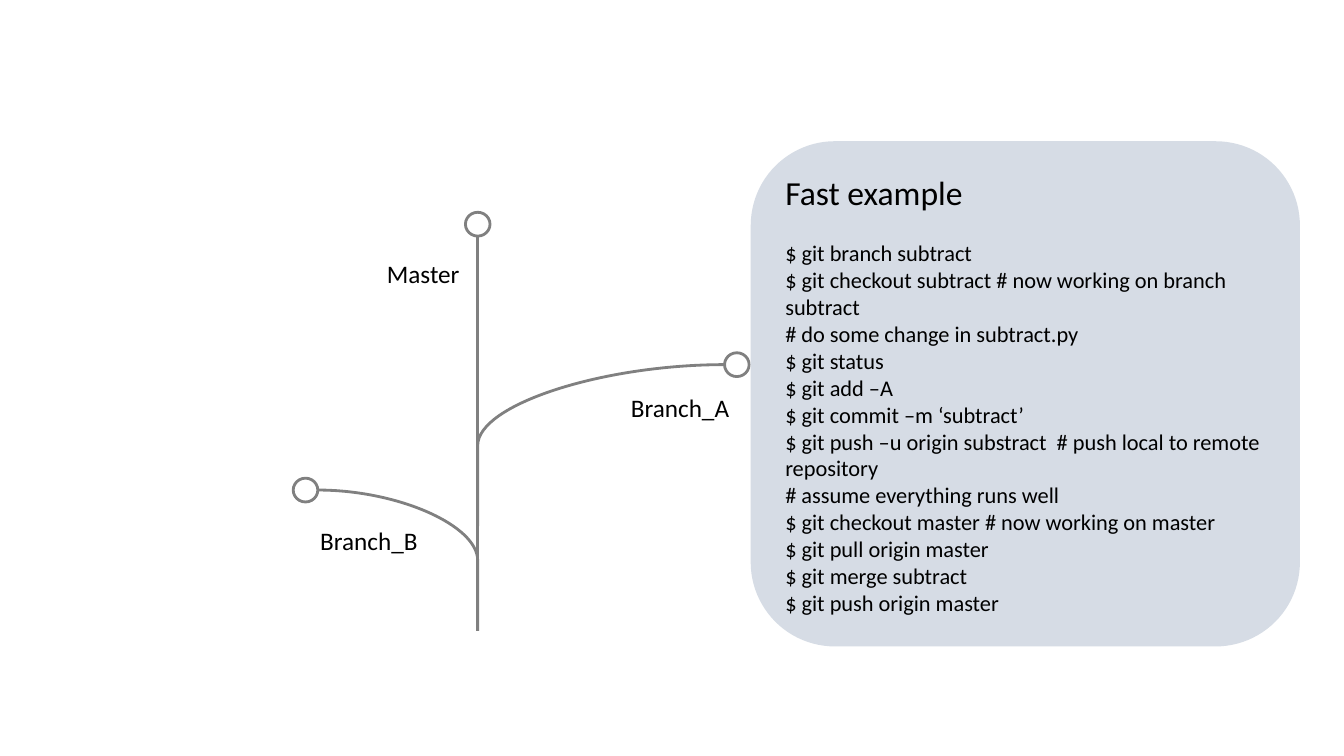
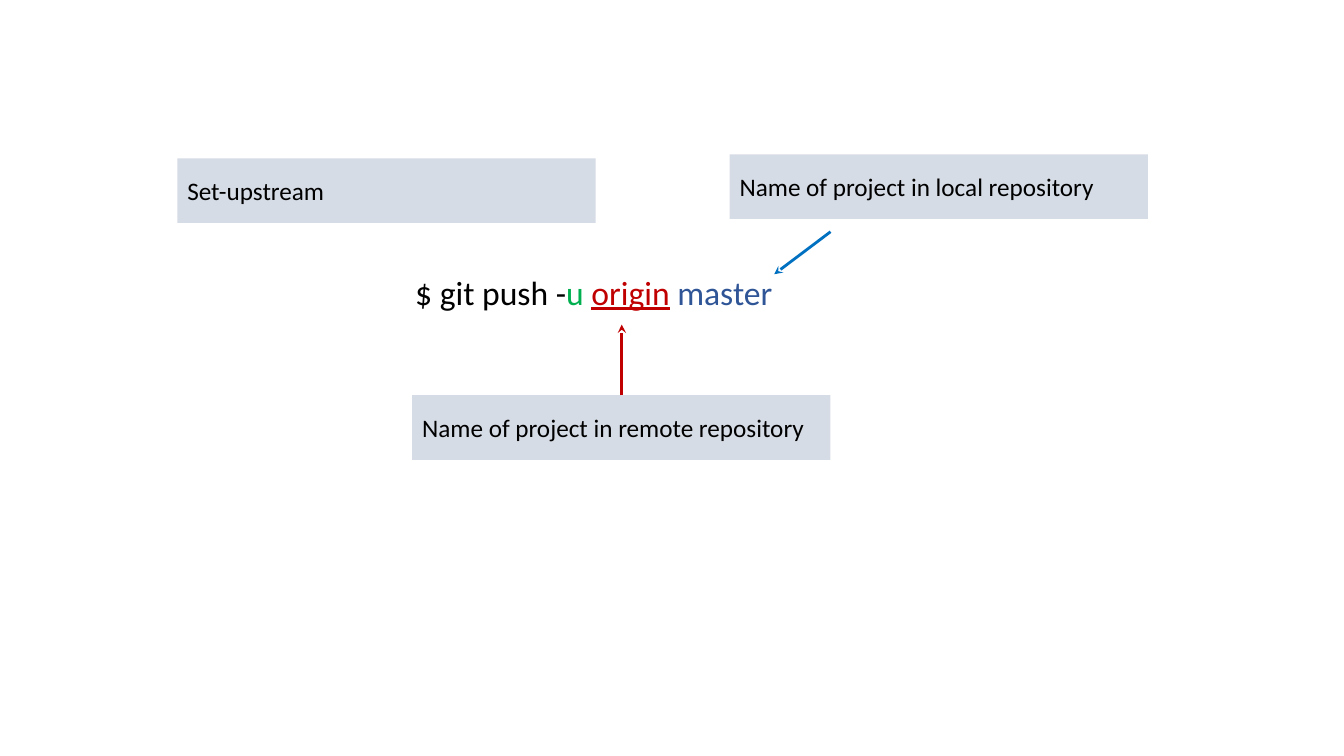
from dataclasses import dataclass

from lxml import etree
from pptx import Presentation
from pptx.dml.color import RGBColor
from pptx.enum.shapes import MSO_CONNECTOR, MSO_SHAPE
from pptx.enum.text import MSO_ANCHOR, MSO_AUTO_SIZE, PP_ALIGN
from pptx.oxml.ns import qn
from pptx.util import Cm, Pt

STRAIGHT, CURVE = MSO_CONNECTOR.STRAIGHT, MSO_CONNECTOR.CURVE
OVAL, RECT, ROUND = MSO_SHAPE.OVAL, MSO_SHAPE.RECTANGLE, MSO_SHAPE.ROUNDED_RECTANGLE
MIDDLE, LEFT, FIXED = MSO_ANCHOR.MIDDLE, PP_ALIGN.LEFT, MSO_AUTO_SIZE.NONE
TITLE_ONLY, BLANK = 5, 6


@dataclass(frozen=True)
class Theme:
    font: str = "Calibri"
    ink: str = "000000"
    panel: str = "D6DCE5"
    gray: str = "808080"
    green: str = "00B050"
    red: str = "C00000"
    navy: str = "2F5597"
    blue: str = "0070C0"
    head: int = 24
    label: int = 18
    code: int = 16
    gap: float = 19.5
    line: int = 2


THEME = Theme()

STEPS = [
    "$ git branch subtract",
    "$ git checkout subtract # now working on branch subtract",
    "# do some change in subtract.py",
    "$ git status",
    "$ git add –A",
    "$ git commit –m ‘subtract’",
    "$ git push –u origin substract  # push local to remote repository",
    "# assume everything runs well",
    "$ git checkout master # now working on master",
    "$ git pull origin master",
    "$ git merge subtract",
    "$ git push origin master",
]


def cms(*values):
    return [Cm(v) for v in values]


# Text
def style(para, size, color=THEME.ink):
    para.alignment = LEFT
    for run in para.runs:
        run.font.name = THEME.font
        run.font.size = Pt(size)
        run.font.color.rgb = RGBColor.from_string(color)


def add_label(shapes, text, x, y, width):
    frame = shapes.add_textbox(*cms(x, y, width, 1.02)).text_frame
    frame.word_wrap = True
    frame.text = text
    style(frame.paragraphs[0], THEME.label)


# Filled boxes
def add_panel(shapes, kind, text, box, size):
    panel = shapes.add_shape(kind, *cms(*box))
    panel.shadow.inherit = False
    panel.fill.solid()
    panel.fill.fore_color.rgb = RGBColor.from_string(THEME.panel)
    panel.line.fill.background()
    frame = panel.text_frame
    frame.word_wrap = True
    frame.vertical_anchor = MIDDLE
    frame.text = text
    style(frame.paragraphs[0], size)
    return frame


# Lines and dots
def add_line(shapes, start, end, color=THEME.gray, kind=STRAIGHT, arrow=False):
    link = shapes.add_connector(kind, *cms(*start, *end))
    link.line.width = Pt(THEME.line)
    link.line.color.rgb = RGBColor.from_string(color)
    props = link._element.spPr
    if kind == CURVE:
        # Leave the trunk straight upward before bending to the tip
        geom = props.find(qn("a:prstGeom"))
        guides = geom.find(qn("a:avLst"))
        if guides is None:
            guides = etree.SubElement(geom, qn("a:avLst"))
        etree.SubElement(guides, qn("a:gd"), name="adj1", fmla="val 0")
    if arrow:
        etree.SubElement(props.find(qn("a:ln")), qn("a:tailEnd"), type="stealth")
    etree.SubElement(props, qn("a:effectLst"))


def add_dot(shapes, x, y, width=0.62, height=0.6):
    dot = shapes.add_shape(OVAL, *cms(x - width / 2, y - height / 2, width, height))
    dot.shadow.inherit = False
    dot.fill.background()
    dot.line.width = Pt(THEME.line)
    dot.line.color.rgb = RGBColor.from_string(THEME.gray)


# Slides
def draw_tree(deck):
    slide = deck.slides.add_slide(deck.slide_layouts[BLANK])
    tree = slide.shapes.add_group_shape().shapes
    trunk, base = 12.04, 15.9
    add_line(tree, (trunk, base), (trunk, 5.95))
    add_line(tree, (trunk, 13.26), (18.26, 9.19), kind=CURVE)
    add_line(tree, (trunk, base), (8.01, 12.35), kind=CURVE)
    for x, y in [(trunk, 5.65), (18.57, 9.19), (7.7, 12.35)]:
        add_dot(tree, x, y)
    add_label(tree, "Master", 9.5, 6.38, 3.1)
    add_label(tree, "Branch_A", 15.65, 9.75, 3.23)
    add_label(tree, "Branch_B", 7.82, 13.11, 3.1)

    card = add_panel(slide.shapes, ROUND, "Fast example",
                     (18.92, 3.56, 13.84, 12.73), THEME.head)
    for i, step in enumerate(STEPS):
        para = card.add_paragraph()
        para.text = step
        style(para, THEME.code)
        if i == 0:
            para.space_before = Pt(THEME.gap)


def draw_push(deck):
    slide = deck.slides.add_slide(deck.slide_layouts[TITLE_ONLY])
    shapes = slide.shapes

    # Command, coloured by part
    title = shapes.title
    title.left, title.top, title.width, title.height = cms(10.21, 6.2, 13.46, 2.31)
    frame = title.text_frame
    frame.auto_size = FIXED
    frame.vertical_anchor = MIDDLE
    para = frame.paragraphs[0]
    parts = [("$ git push -", THEME.ink), ("u ", THEME.green),
             ("origin", THEME.red), (" ", THEME.ink), ("master", THEME.navy)]
    for text, _ in parts:
        para.add_run().text = text
    style(para, THEME.head)
    for run, (text, color) in zip(para.runs, parts):
        run.font.color.rgb = RGBColor.from_string(color)
        run.font.underline = text == "origin"

    # Notes and their arrows
    notes = [("Name of project in remote repository", 10.39, 9.96),
             ("Name of project in local repository", 18.39, 3.89),
             ("Set-upstream", 4.47, 3.99)]
    for text, x, y in notes:
        add_panel(shapes, RECT, text, (x, y, 10.54, 1.63), THEME.label)
    add_line(shapes, (15.67, 9.96), (15.67, 8.18), THEME.red, arrow=True)
    add_line(shapes, (20.93, 5.84), (19.51, 6.91), THEME.blue, arrow=True)


def main():
    deck = Presentation()
    deck.slide_width, deck.slide_height = cms(33.87, 19.05)
    draw_tree(deck)
    draw_push(deck)
    deck.save("out.pptx")


if __name__ == "__main__":
    main()
